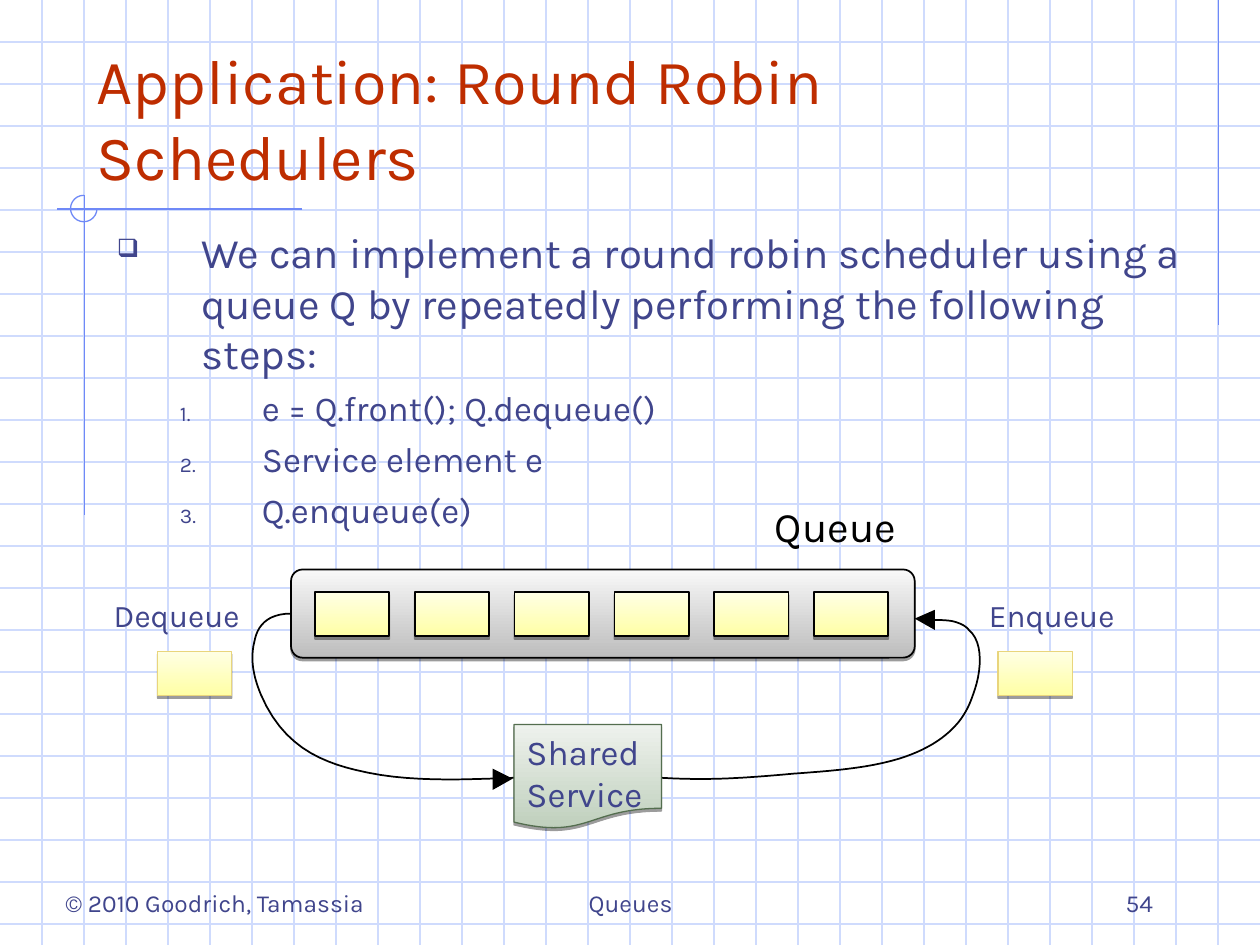
from lxml import etree
from pptx import Presentation
from pptx.dml.color import RGBColor
from pptx.enum.shapes import MSO_CONNECTOR, MSO_SHAPE as SHAPE
from pptx.enum.text import MSO_ANCHOR as ANCHOR, PP_ALIGN as ALIGN
from pptx.oxml.ns import qn
from pptx.util import Inches, Pt

rgb = RGBColor.from_string
INK, RUST, BLUE, GRID, BLACK = "40458C", "BE2D00", "6F89F7", "CFDBFD", "000000"
YELLOW = ("FFFFA5", "FFFFE4")
CURVE_STEPS = 12


def write_text(frame, text, size=18, color=INK, align=ALIGN.LEFT, anchor=ANCHOR.TOP, before=0):
    """Add a paragraph to the frame, using its empty first one if there is one."""
    frame.word_wrap = True
    frame.vertical_anchor = anchor
    paragraph = frame.add_paragraph() if frame.text else frame.paragraphs[0]
    paragraph.text = text
    paragraph.alignment = align
    if before:
        paragraph.space_before = Pt(before)
    for run in paragraph.runs:
        run.font.name = "Karla"
        run.font.size = Pt(size)
        run.font.color.rgb = rgb(color)
    return paragraph


def style_shape(shape, fill=None, line=None, width=0.75):
    """Fill with nothing, one colour, or a (bottom, top) gradient with a drop shadow."""
    shape.shadow.inherit = False
    if fill is None:
        shape.fill.background()
    elif isinstance(fill, str):
        shape.fill.solid()
        shape.fill.fore_color.rgb = rgb(fill)
    else:
        shape.fill.gradient()
        shape.fill.gradient_angle = 90
        for stop, color in zip(shape.fill.gradient_stops, fill):
            stop.color.rgb = rgb(color)
    if line:
        shape.line.color.rgb = rgb(line)
        shape.line.width = Pt(width)
    else:
        shape.line.fill.background()
    if isinstance(fill, tuple):
        effects = shape._element.spPr.find(qn("a:effectLst"))
        drop = etree.SubElement(effects, qn("a:outerShdw"), blurRad="0", dist=str(Pt(1.6)),
                                dir="5400000", rotWithShape="0")
        black = etree.SubElement(drop, qn("a:srgbClr"), val=BLACK)
        etree.SubElement(black, qn("a:alpha"), val="38000")


prs = Presentation()
prs.slide_width, prs.slide_height = Inches(10), Inches(7.5)
slide = prs.slides.add_slide(prs.slide_layouts[6])
shapes = slide.shapes

# Graph-paper grid and the blue margin rules
rules = [(0, i / 3, 10, i / 3, GRID) for i in range(1, 23)]
rules += [(i / 3, 0, i / 3, 7.5, GRID) for i in range(1, 30)]
rules += [(9.67, 0, 9.67, 2.58, BLUE), (2.4, 1.66, 0.45, 1.66, BLUE), (0.67, 1.55, 0.67, 4.09, BLUE)]
for *ends, color in rules:
    rule = shapes.add_connector(MSO_CONNECTOR.STRAIGHT, *map(Inches, ends))
    rule.line.color.rgb = rgb(color)
    rule.line.width = Pt(0.75)
    etree.SubElement(rule._element.spPr, qn("a:effectLst"))

margin_arc = shapes.add_shape(SHAPE.ARC, Inches(0.56), Inches(1.55), Inches(0.21), Inches(0.21))
margin_arc.adjustments[0] = 0
margin_arc.adjustments[1] = 162  # 270 degrees
style_shape(margin_arc, line=BLUE)

# Title, labels and footer
labels = [
    ("Application: Round Robin Schedulers", 0.67, 0.33, 8.5, 1.25,
     dict(size=36, color=RUST, anchor=ANCHOR.BOTTOM)),
    ("Queue", 6.05, 3.92, 1.25, 0.5, dict(size=24, color=BLACK)),
    ("Enqueue", 7.75, 4.68, 2.08, 0.4, {}),
    ("Dequeue", 0.17, 4.68, 1.83, 0.4, dict(align=ALIGN.RIGHT)),
    ("© 2010 Goodrich, Tamassia", 0.42, 6.83, 2.83, 0.5, dict(size=14, anchor=ANCHOR.BOTTOM)),
    ("Queues", 3.42, 6.83, 3.17, 0.5, dict(size=14, align=ALIGN.CENTER, anchor=ANCHOR.BOTTOM)),
    ("54", 7.17, 6.83, 2.08, 0.5, dict(size=14, align=ALIGN.RIGHT, anchor=ANCHOR.BOTTOM)),
]
for text, *place, text_format in labels:
    write_text(shapes.add_textbox(*map(Inches, place)).text_frame, text, **text_format)

# Introduction and numbered steps
body = shapes.add_textbox(Inches(0.83), Inches(1.75), Inches(8.75), Inches(2.67)).text_frame
intro = ("We can implement a round robin scheduler using a queue Q "
         "by repeatedly performing the following steps:")
steps = ["e = Q.front(); Q.dequeue()", "Service element e", "Q.enqueue(e)"]
for number, text in enumerate([intro] + steps):
    if number == 0:
        paragraph = write_text(body, text, size=24)
        left, hanging, bullet = 0.67, -0.67, ("a:buChar", {"char": "❑"})
    else:
        paragraph = write_text(body, text, size=20, before=5)
        paragraph.level = 1
        left, hanging, bullet = 1.15, -0.65, ("a:buAutoNum", {"type": "arabicPeriod"})
    props = paragraph._p.get_or_add_pPr()
    props.set("marL", str(Inches(left)))
    props.set("indent", str(Inches(hanging)))
    bullet_color = etree.SubElement(props, qn("a:buClr"))
    etree.SubElement(bullet_color, qn("a:srgbClr"), val=INK)
    etree.SubElement(props, qn("a:buSzPct"), val="60000")
    etree.SubElement(props, qn(bullet[0]), bullet[1])

# Queue with its six elements, and the elements leaving and entering
queue = shapes.add_shape(SHAPE.ROUNDED_RECTANGLE, Inches(2.31), Inches(4.52), Inches(4.95), Inches(0.7))
queue.adjustments[0] = 0.13
style_shape(queue, fill=("BDBDBD", "F8F8F8"), line=BLACK, width=1)

elements = [(2.5 + 0.792 * i, 4.7, BLACK, 1) for i in range(6)]
elements += [(x, 5.17, "E9D57C", 0.75) for x in (1.25, 7.92)]
for x, y, outline, width in elements:
    element = shapes.add_shape(SHAPE.RECTANGLE, Inches(x), Inches(y), Inches(0.59), Inches(0.35))
    style_shape(element, fill=YELLOW, line=outline, width=width)

# Flow curves: a start point, then cubic segments of two controls and an end
dequeue_flow = [
    (2.31, 4.87), (2.11, 4.87), (2.04, 4.98), (2.02, 5.09), (1.98, 5.24), (2.02, 5.39), (2.07, 5.51),
    (2.24, 5.91), (2.53, 6.04), (2.82, 6.11), (3.22, 6.21), (3.63, 6.19), (4.16, 6.17),
]
enqueue_flow = [
    (5.19, 6.17), (5.37, 6.18), (5.4, 6.18), (5.42, 6.18), (5.69, 6.19), (5.97, 6.17), (6.3, 6.14),
    (6.57, 6.12), (6.88, 6.1), (7.14, 6.02), (7.33, 5.96), (7.49, 5.87), (7.6, 5.74),
    (7.65, 5.68), (7.69, 5.61), (7.72, 5.52), (7.79, 5.34), (7.81, 5.1), (7.69, 5),
    (7.66, 4.96), (7.6, 4.94), (7.56, 4.93), (7.5, 4.92), (7.45, 4.92), (7.37, 4.92),
]
for flow in (dequeue_flow, enqueue_flow):
    points = []
    for i in range(0, len(flow) - 1, 3):
        for step in range(1, CURVE_STEPS + 1):
            t = step / CURVE_STEPS
            weights = ((1 - t) ** 3, 3 * t * (1 - t) ** 2, 3 * t * t * (1 - t), t ** 3)
            points.append([Inches(sum(w * point[axis] for w, point in zip(weights, flow[i:i + 4])))
                           for axis in (0, 1)])
    builder = shapes.build_freeform(*map(Inches, flow[0]))
    builder.add_line_segments(points, close=False)
    style_shape(builder.convert_to_shape(), line=BLACK, width=1)

service = shapes.add_shape(SHAPE.FLOWCHART_DOCUMENT, Inches(4.08), Inches(5.75), Inches(1.17), Inches(0.83))
style_shape(service, fill=("BFCFBC", "EEF2ED"), line="546E4F")
write_text(service.text_frame, "Shared\vService", size=20)

arrowheads = [[(3.91, 6.27), (4.07, 6.18), (3.91, 6.1)], [(7.42, 5), (7.26, 4.91), (7.42, 4.84)]]
for corners in arrowheads:
    start, *others = [tuple(map(Inches, corner)) for corner in corners]
    builder = shapes.build_freeform(*start)
    builder.add_line_segments(others)
    style_shape(builder.convert_to_shape(), fill=BLACK)

prs.save("out.pptx")
